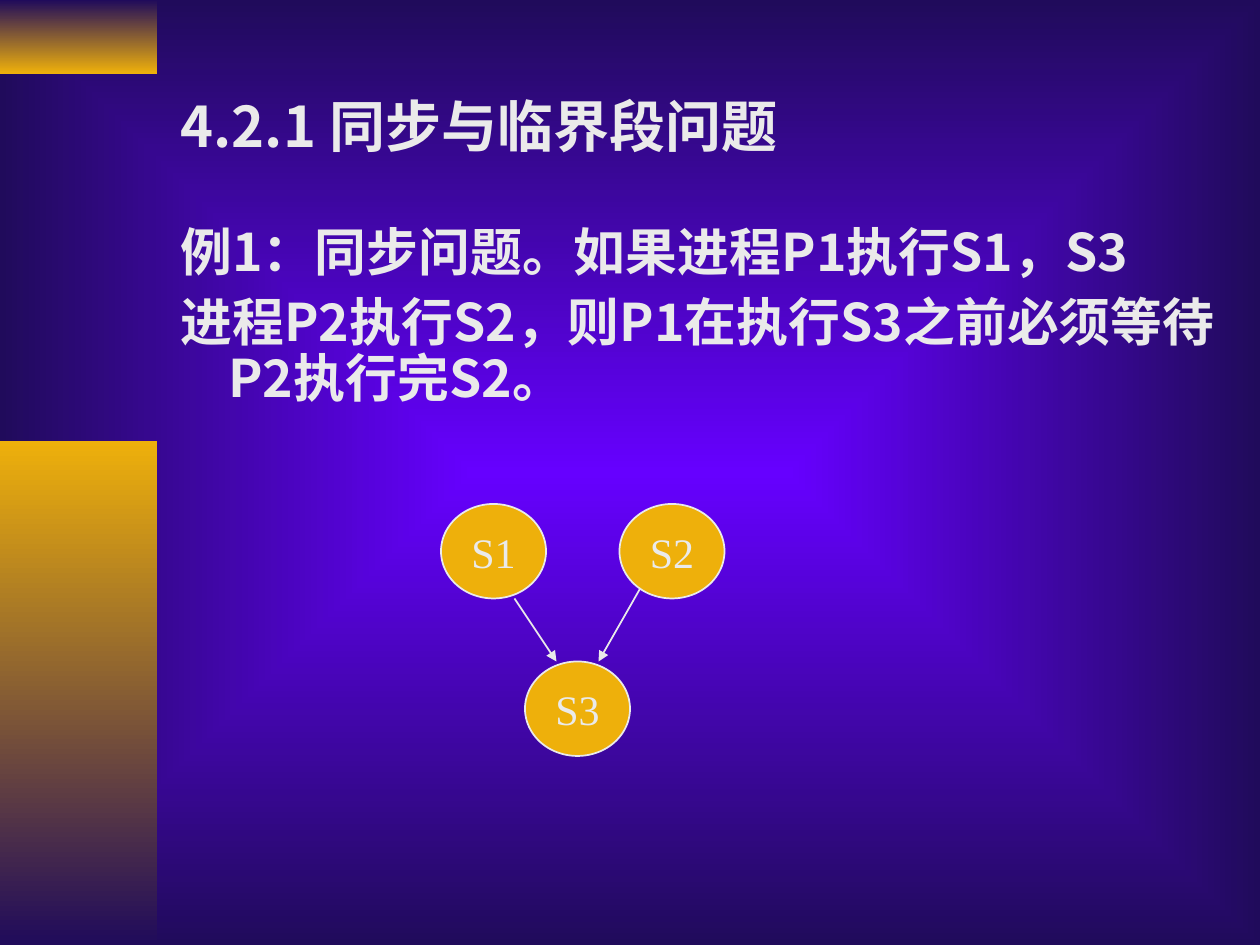
from lxml import etree
from pptx import Presentation, util as u
from pptx.dml.color import RGBColor
from pptx.enum import shapes, text
from pptx.oxml.ns import qn

HUE = {"glow": "6600FF", "night": "200B5B", "gold": "EEB00B", "pale": "EAEAEA"}
HAN, ROMAN = "Noto Sans CJK SC", "Times New Roman"

deck = Presentation()
deck.slide_width, deck.slide_height = u.Inches(10), u.Inches(7.5)
slide = deck.slides.add_slide(deck.slide_layouts[5])
CELL = deck.slide_width / 120  # the slide is 120 columns by 90 rows


def grid(*cells):
    return [u.Emu(round(n * CELL)) for n in cells]


def write(para, words, size, face, bold=False):
    """Add one run, with the same face for Latin and East Asian letters."""
    run = para.add_run()
    run.text = words
    font = run.font
    font.size, font.name, font.bold = u.Pt(size), face, bold
    font.color.rgb = RGBColor.from_string(HUE["pale"])
    etree.SubElement(run._r.get_or_add_rPr(), qn("a:ea"), typeface=face)


# Background: glow from the centre out to the edges
back = slide.background.fill
back.gradient()
for stop, hue in zip(back.gradient_stops, ("glow", "night")):
    stop.color.rgb = RGBColor.from_string(HUE[hue])
grad = slide.background._cSld.find(".//" + qn("a:gradFill"))
grad.remove(grad.find(qn("a:lin")))
ray = etree.SubElement(grad, qn("a:path"), path="rect")
etree.SubElement(ray, qn("a:fillToRect"), l="50000", t="50000", r="50000", b="50000")

# Gold bars down the left edge
for top, high, hues in ((0, 7, ("night", "gold")), (42, 48, ("gold", "night"))):
    bar = slide.shapes.add_shape(shapes.MSO_SHAPE.RECTANGLE, *grid(0, top, 15, high))
    bar.shadow.inherit = False
    bar.line.fill.background()
    bar.fill.gradient()
    bar.fill.gradient_angle = 270
    for stop, hue in zip(bar.fill.gradient_stops, hues):
        stop.color.rgb = RGBColor.from_string(HUE[hue])

# Title
title = slide.shapes.title
title.left, title.top, title.width, title.height = grid(16, 4, 102, 15.8)
frame = title.text_frame
frame.auto_size = text.MSO_AUTO_SIZE.NONE
frame.vertical_anchor = text.MSO_ANCHOR.MIDDLE
frame.paragraphs[0].alignment = text.PP_ALIGN.LEFT
write(frame.paragraphs[0], "4.2.1 同步与临界段问题", 32, HAN, True)

# Example, with hanging indents
frame = slide.shapes.add_textbox(*grid(16, 21, 104, 23)).text_frame
frame.word_wrap = True
lines = ("例1：同步问题。如果进程P1执行S1，S3",
         "进程P2执行S2，则P1在执行S3之前必须等待P2执行完S2。")
for i, words in enumerate(lines):
    para = frame.add_paragraph() if i else frame.paragraphs[0]
    para.line_spacing, para.space_before = 0.9, u.Pt(8)
    props = para._p.get_or_add_pPr()
    props.set("marL", str(u.Inches(0.38)))
    props.set("indent", str(-u.Inches(0.38)))
    write(para, words, 29.6, HAN, True)

# Statement nodes
for name, left, top in (("S1", 42, 48), ("S3", 50, 63), ("S2", 59, 48)):
    node = slide.shapes.add_shape(shapes.MSO_SHAPE.OVAL, *grid(left, top, 10, 9))
    node.shadow.inherit = False
    node.fill.solid()
    node.fill.fore_color.rgb = RGBColor.from_string(HUE["gold"])
    node.line.color.rgb = RGBColor.from_string(HUE["pale"])
    node.line.width = u.Pt(1)
    frame = node.text_frame
    frame.word_wrap = False
    frame.vertical_anchor = text.MSO_ANCHOR.MIDDLE
    frame.paragraphs[0].alignment = text.PP_ALIGN.CENTER
    write(frame.paragraphs[0], name, 24, ROMAN)

# Arrows into S3
for ends in ((49, 57, 53, 63), (61, 56, 57, 63)):
    arrow = slide.shapes.add_connector(shapes.MSO_CONNECTOR.STRAIGHT, *grid(*ends))
    arrow.line.color.rgb = RGBColor.from_string(HUE["pale"])
    arrow.line.width = u.Pt(1)
    etree.SubElement(arrow.line._get_or_add_ln(), qn("a:tailEnd"), type="triangle")
    etree.SubElement(arrow._element.spPr, qn("a:effectLst"))

deck.save("out.pptx")
